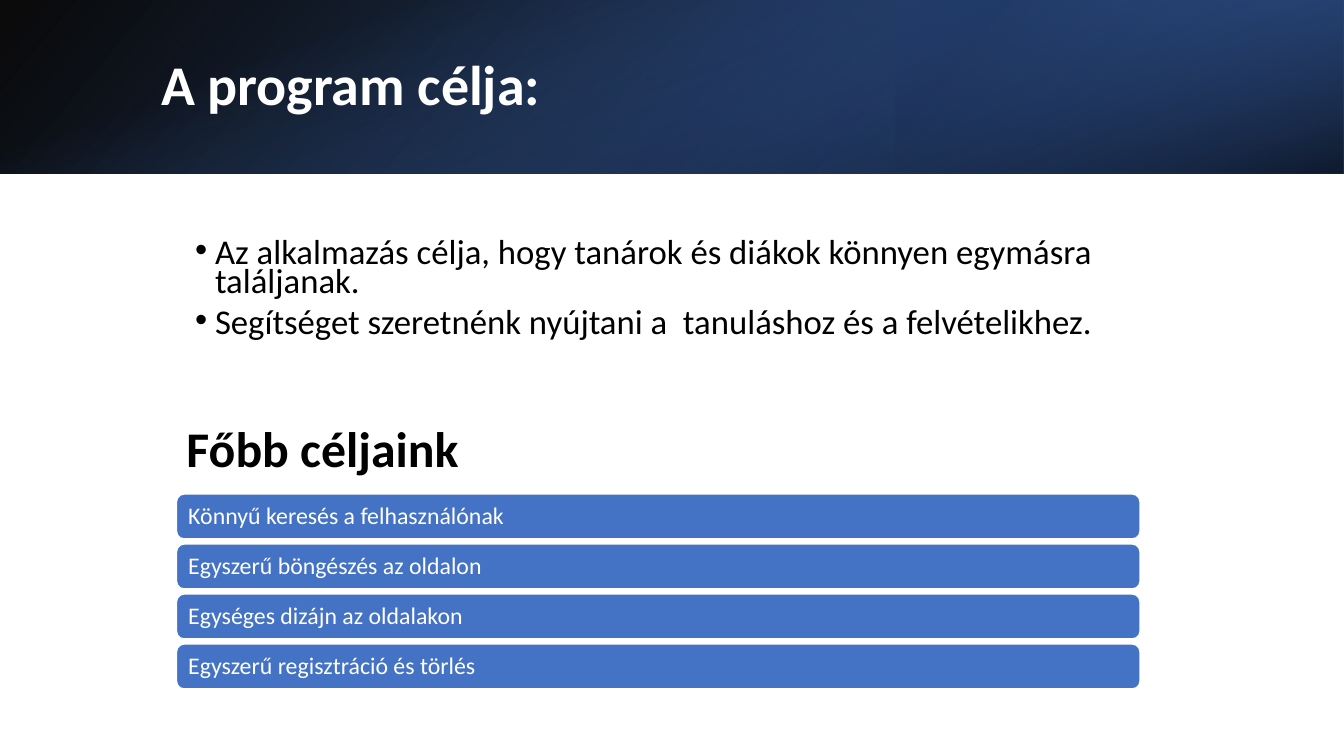
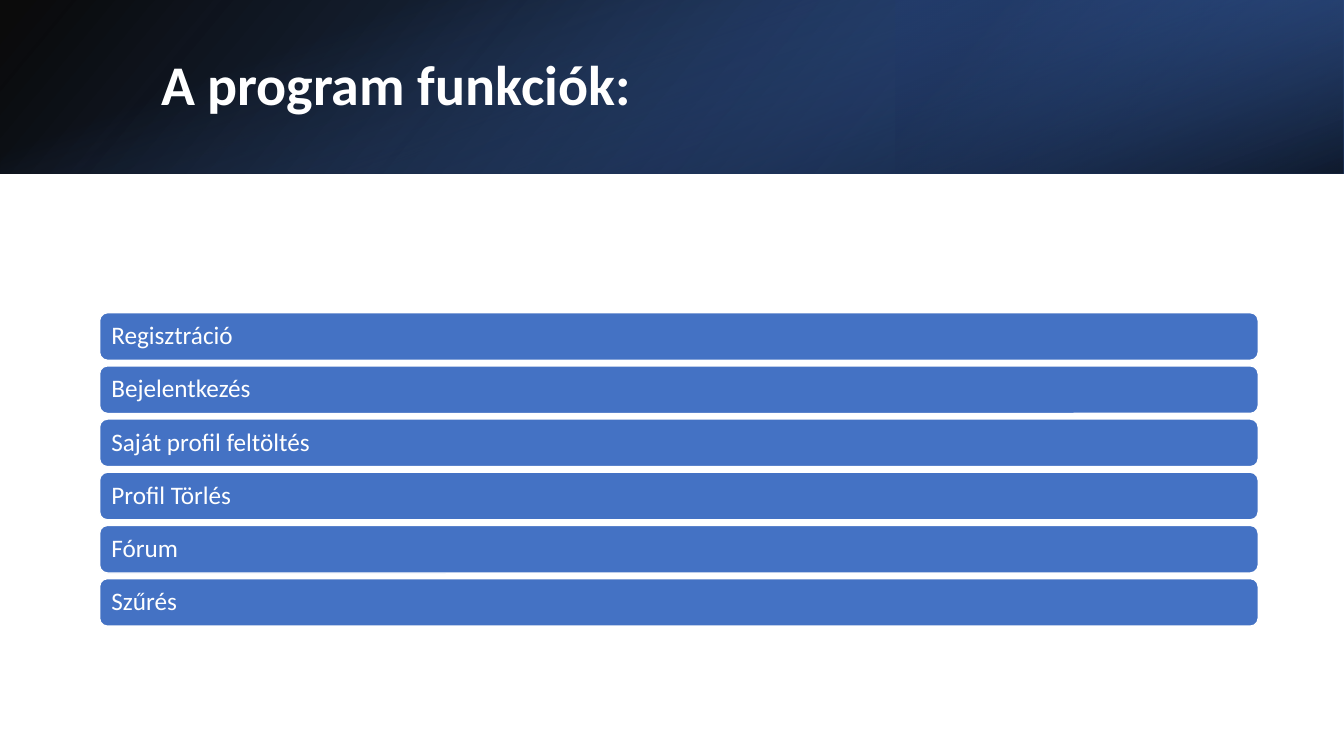
"""Build two slides about a tutoring app: its goals and its functions."""
from pptx import Presentation
from pptx.dml.color import RGBColor
from pptx.enum.shapes import MSO_SHAPE as Shape
from pptx.enum.text import MSO_ANCHOR as Anchor, PP_ALIGN as Align
from pptx.oxml import parse_xml
from pptx.oxml.ns import nsdecls, qn
from pptx.util import Cm, Pt

FONT = "Calibri"
WHITE = RGBColor(0xFF, 0xFF, 0xFF)
BLACK = RGBColor(0x00, 0x00, 0x00)
BLUE = RGBColor(0x44, 0x72, 0xC4)
DEEP = RGBColor(0x2F, 0x55, 0x97)
NAVY = RGBColor(0x20, 0x38, 0x64)

WIDE, HIGH = 33.87, 19.05
BAND, SIDE = 4.37, 11.29
MID = (WIDE - BAND) / 2

LAYERS = [
    dict(box=(0, 0, WIDE, BAND), turn=0, flip=True, angle=140,
         stops=[(0, BLACK, 96), (100, DEEP, 100)]),
    dict(box=(WIDE - SIDE, 0, SIDE, BAND), turn=180, flip=True, angle=320,
         stops=[(19, NAVY, 68), (100, BLUE, 79)]),
    dict(box=(MID, -MID, BAND, WIDE), turn=90, flip=False, angle=340,
         stops=[(23, BLUE, 0), (99, BLACK, 74)]),
]

SLIDES = [
    dict(
        title="A program célja:",
        points=[
            "Az alkalmazás célja, hogy tanárok és diákok könnyen egymásra találjanak.",
            "Segítséget szeretnénk nyújtani a  tanuláshoz és a felvételikhez.",
        ],
        head="Főbb céljaink",
        bars=[
            "Könnyű keresés a felhasználónak",
            "Egyszerű böngészés az oldalon",
            "Egységes dizájn az oldalakon",
            "Egyszerű regisztráció és törlés",
        ],
        grid=dict(left=4.45, top=12.45, width=24.28, high=1.13, step=1.26, size=17),
    ),
    dict(
        title="A program funkciók:",
        points=[],
        head="",
        bars=["Regisztráció", "Bejelentkezés", "Saját profil feltöltés",
              "Profil Törlés", "Fórum", "Szűrés"],
        grid=dict(left=2.51, top=7.88, width=29.2, high=1.2, step=1.34, size=18),
    ),
]


def style(para, size, color, bold=False):
    font = para.font
    font.name, font.size, font.bold = FONT, Pt(size), bold
    font.color.rgb = color


def add_text(slide, box, lines, size, color, bold=False, anchor=Anchor.TOP,
             space=1.0, bullet=False):
    frame = slide.shapes.add_textbox(*map(Cm, box)).text_frame
    frame.word_wrap = True
    frame.vertical_anchor = anchor
    for i, line in enumerate(lines):
        para = frame.add_paragraph() if i else frame.paragraphs[0]
        para.text = line
        para.line_spacing = space
        if i:
            para.space_before = Pt(8.1)
        if bullet:
            props = para._p.get_or_add_pPr()
            props.set("marL", str(Cm(0.5)))
            props.set("indent", str(-Cm(0.5)))
            props.append(parse_xml(f'<a:buFont {nsdecls("a")} typeface="Arial"/>'))
            props.append(parse_xml(f'<a:buChar {nsdecls("a")} char="•"/>'))
        style(para, size, color, bold)


def add_layer(slide, box, turn, flip, angle, stops):
    shape = slide.shapes.add_shape(Shape.RECTANGLE, *map(Cm, box))
    shape.shadow.inherit = False
    shape.rotation = turn
    shape.line.fill.background()
    shape.fill.gradient()
    props = shape._element.spPr
    if flip:
        props.find(qn("a:xfrm")).set("flipH", "1")
    marks = "".join(
        f'<a:gs pos="{pos * 1000}"><a:srgbClr val="{color}">'
        f'<a:alpha val="{alpha * 1000}"/></a:srgbClr></a:gs>'
        for pos, color, alpha in stops)
    props.replace(props.find(qn("a:gradFill")), parse_xml(
        f'<a:gradFill {nsdecls("a")} rotWithShape="1"><a:gsLst>{marks}</a:gsLst>'
        f'<a:lin ang="{angle * 60000}" scaled="0"/></a:gradFill>'))


def add_bars(slide, bars, left, top, width, high, step, size):
    for i, label in enumerate(bars):
        box = (left, top + i * step, width, high)
        bar = slide.shapes.add_shape(Shape.ROUNDED_RECTANGLE, *map(Cm, box))
        bar.shadow.inherit = False
        bar.fill.solid()
        bar.fill.fore_color.rgb = BLUE
        bar.line.color.rgb = WHITE
        bar.line.width = Pt(1)
        frame = bar.text_frame
        frame.word_wrap = True
        frame.vertical_anchor = Anchor.MIDDLE
        frame.margin_left = frame.margin_right = Cm(0.24)
        frame.margin_top = frame.margin_bottom = Cm(0.1)
        para = frame.paragraphs[0]
        para.text = label
        para.alignment = Align.LEFT
        para.line_spacing = 0.9
        style(para, size, WHITE)


def main():
    deck = Presentation()
    deck.slide_width, deck.slide_height = Cm(WIDE), Cm(HIGH)
    for page in SLIDES:
        slide = deck.slides.add_slide(deck.slide_layouts[6])
        for layer in LAYERS:
            add_layer(slide, **layer)
        add_text(slide, (3.81, 0.97, 27.89, 2.44), [page["title"]], 40, WHITE,
                 bold=True, anchor=Anchor.MIDDLE, space=0.9)
        if page["points"]:
            add_text(slide, (4.67, 5.95, 24.79, 3.48), page["points"], 24.8, BLACK,
                     space=0.7, bullet=True)
        if page["head"]:
            add_text(slide, (4.45, 10.39, 25.04, 1.78), [page["head"]], 35.6, BLACK,
                     bold=True)
        add_bars(slide, page["bars"], **page["grid"])
    deck.save("out.pptx")


if __name__ == "__main__":
    main()
